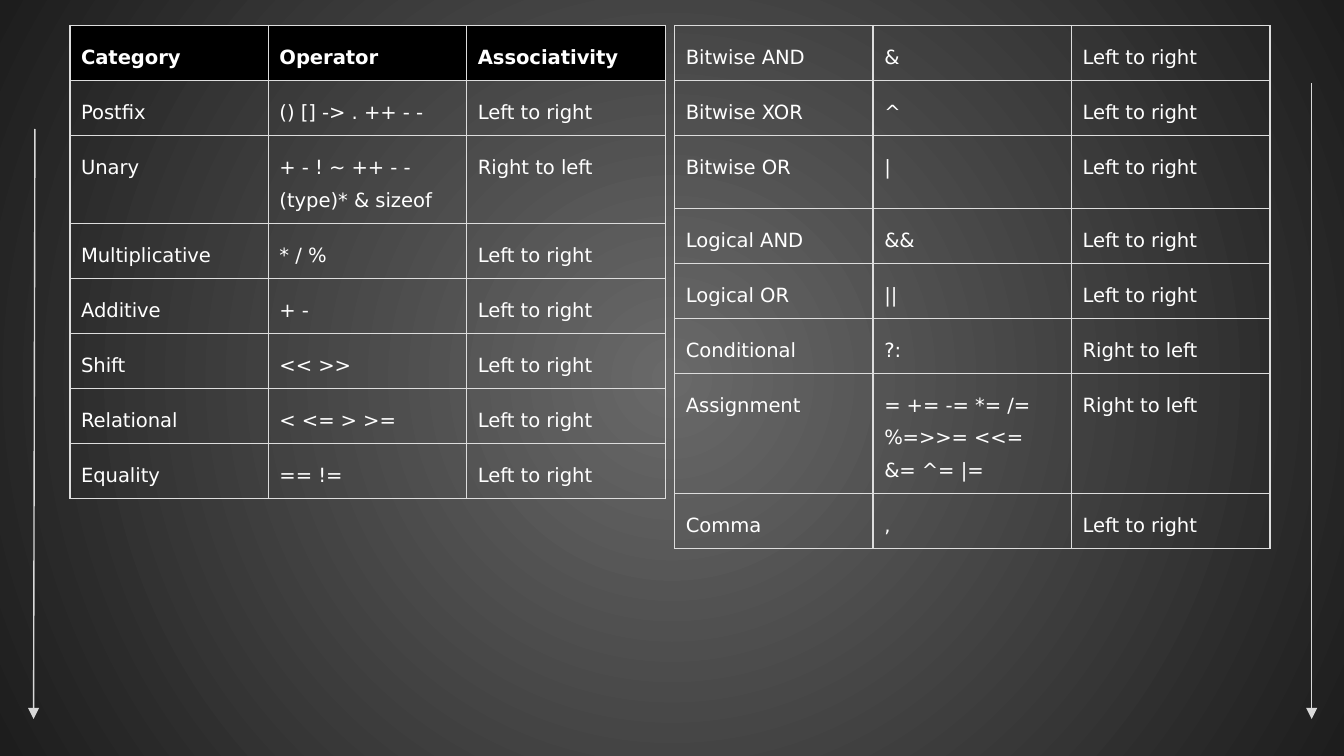
"""Build a slide of operator precedence and associativity tables."""
from dataclasses import dataclass

import lxml.etree
import pptx
import pptx.dml.color
import pptx.enum.dml
import pptx.enum.shapes
import pptx.oxml.ns
import pptx.slide
import pptx.table
import pptx.util

Inches = pptx.util.Inches
Pt = pptx.util.Pt
RGB = pptx.dml.color.RGBColor.from_string
qn = pptx.oxml.ns.qn


@dataclass(frozen=True)
class Theme:
    font: str = "DejaVu Sans"
    size: float = 10.5
    line_spacing: float = 1.43
    space_after: float = 15
    cell_margin: float = 6
    text: str = "FFFFFF"
    header: str = "000000"
    border: str = "DDDDDD"
    border_width: float = 0.83
    arrow: str = "D9D9D9"
    arrow_width: float = 0.75
    glow: str = "696969"
    edge: str = "1D1D1D"


@dataclass(frozen=True)
class OperatorTable:
    left: float
    rows: tuple[tuple[str, str, str], ...]
    has_header: bool = False


@dataclass(frozen=True)
class PrecedenceArrow:
    start: tuple[float, float]
    end: tuple[float, float]


THEME = Theme()
SLIDE_WIDTH = 10
TABLE_TOP = 0.19
TABLE_WIDTH = 4.43
ROW_HEIGHT = 0.38
TALL_ROW, TALL_HEIGHT = 2, 0.54
LTR = "Left to right"
RTL = "Right to left"

TABLES = (
    OperatorTable(0.52, (
        ("Category", "Operator", "Associativity"),
        ("Postfix", "() [] -> . ++ - -", LTR),
        ("Unary", "+ - ! ~ ++ - - (type)* & sizeof", RTL),
        ("Multiplicative", "* / %", LTR),
        ("Additive", "+ -", LTR),
        ("Shift", "<< >>", LTR),
        ("Relational", "< <= > >=", LTR),
        ("Equality", "== !=", LTR),
    ), has_header=True),
    OperatorTable(5.02, (
        ("Bitwise AND", "&", LTR),
        ("Bitwise XOR", "^", LTR),
        ("Bitwise OR", "|", LTR),
        ("Logical AND", "&&", LTR),
        ("Logical OR", "||", LTR),
        ("Conditional", "?:", RTL),
        ("Assignment", "= += -= *= /= %=>>= <<= &= ^= |=", RTL),
        ("Comma", ",", LTR),
    )),
)
ARROWS = (
    PrecedenceArrow((0.26, 0.96), (0.25, 5.35)),
    PrecedenceArrow((9.76, 0.62), (9.76, 5.35)),
)


def paint_background(slide: pptx.slide.Slide) -> None:
    fill = slide.background.fill
    fill.gradient()
    for stop, color in zip(fill.gradient_stops, (THEME.glow, THEME.edge)):
        stop.color.rgb = RGB(color)
    gradient = next(slide.element.iter(qn("a:gradFill")))
    linear = gradient.find(qn("a:lin"))
    radial = lxml.etree.Element(qn("a:path"), {"path": "circle"})
    center = {side: "50000" for side in "ltrb"}
    lxml.etree.SubElement(radial, qn("a:fillToRect"), center)
    gradient.replace(linear, radial)


def border_cell(cell: pptx.table._Cell) -> None:
    properties = cell._tc.get_or_add_tcPr()
    for side in ("a:lnL", "a:lnR", "a:lnT", "a:lnB"):
        border = lxml.etree.SubElement(
            properties, qn(side), {"w": str(int(Pt(THEME.border_width)))})
        solid = lxml.etree.SubElement(border, qn("a:solidFill"))
        lxml.etree.SubElement(solid, qn("a:srgbClr"), {"val": THEME.border})


def fill_cell(cell: pptx.table._Cell, label: str, is_header: bool) -> None:
    border_cell(cell)
    if is_header:
        cell.fill.solid()
        cell.fill.fore_color.rgb = RGB(THEME.header)
    else:
        cell.fill.background()
    cell.margin_left = cell.margin_right = Pt(THEME.cell_margin)
    cell.margin_top = cell.margin_bottom = Pt(THEME.cell_margin)
    cell.text_frame.text = label
    paragraph = cell.text_frame.paragraphs[0]
    paragraph.line_spacing = THEME.line_spacing
    paragraph.space_after = Pt(THEME.space_after)
    font = paragraph.runs[0].font
    font.name = THEME.font
    font.size = Pt(THEME.size)
    font.bold = is_header
    font.color.rgb = RGB(THEME.text)


def draw_table(slide: pptx.slide.Slide, operators: OperatorTable) -> None:
    row_count, column_count = len(operators.rows), len(operators.rows[0])
    grid = slide.shapes.add_table(
        row_count, column_count, Inches(operators.left), Inches(TABLE_TOP),
        Inches(TABLE_WIDTH),
        Inches(ROW_HEIGHT * (row_count - 1) + TALL_HEIGHT)).table
    grid.first_row = operators.has_header
    grid.horz_banding = False
    for column in grid.columns:
        column.width = Inches(TABLE_WIDTH / column_count)
    for row_index, labels in enumerate(operators.rows):
        height = TALL_HEIGHT if row_index == TALL_ROW else ROW_HEIGHT
        grid.rows[row_index].height = Inches(height)
        is_header = operators.has_header and row_index == 0
        for column_index, label in enumerate(labels):
            fill_cell(grid.cell(row_index, column_index), label, is_header)


def draw_arrow(slide: pptx.slide.Slide, arrow: PrecedenceArrow) -> None:
    connector = slide.shapes.add_connector(
        pptx.enum.shapes.MSO_CONNECTOR.STRAIGHT,
        *map(Inches, arrow.start + arrow.end))
    connector.line.color.rgb = RGB(THEME.arrow)
    connector.line.width = Pt(THEME.arrow_width)
    properties = connector.element.spPr
    lxml.etree.SubElement(
        properties.find(qn("a:ln")), qn("a:tailEnd"), {"type": "triangle"})
    lxml.etree.SubElement(properties, qn("a:effectLst"))


def main() -> None:
    presentation = pptx.Presentation()
    presentation.slide_width = Inches(SLIDE_WIDTH)
    presentation.slide_height = Inches(SLIDE_WIDTH * 9 / 16)
    slide = presentation.slides.add_slide(presentation.slide_layouts[6])
    paint_background(slide)
    for operators in TABLES:
        draw_table(slide, operators)
    for arrow in ARROWS:
        draw_arrow(slide, arrow)
    presentation.save("out.pptx")


if __name__ == "__main__":
    main()
